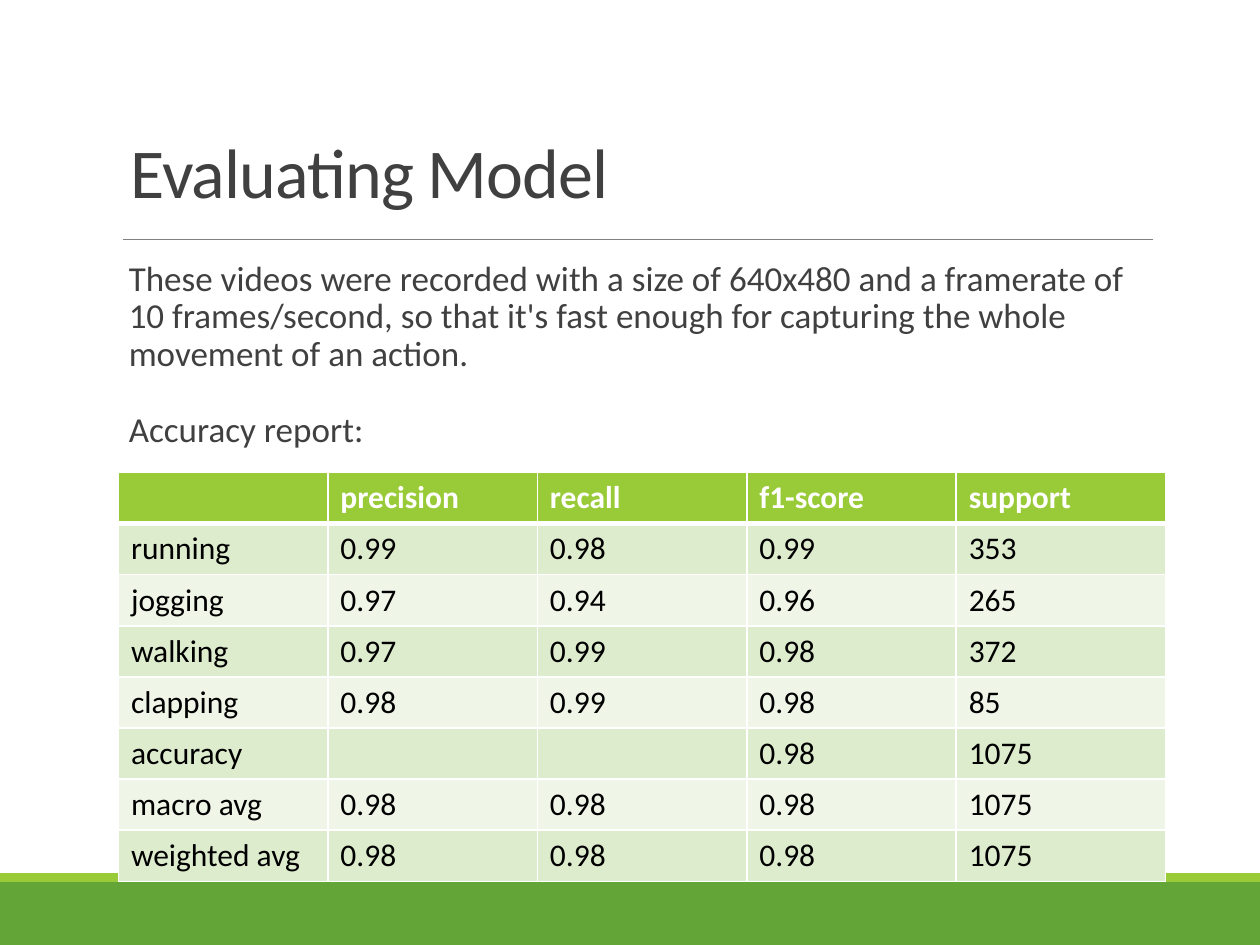
from lxml import etree
from pptx import Presentation
from pptx.dml.color import RGBColor
from pptx.enum.shapes import MSO_CONNECTOR, MSO_SHAPE
from pptx.enum.text import MSO_ANCHOR, MSO_AUTO_SIZE, PP_ALIGN
from pptx.oxml.ns import qn
from pptx.util import Pt

RECTANGLE = MSO_SHAPE.RECTANGLE
STRAIGHT = MSO_CONNECTOR.STRAIGHT
BOTTOM, TOP = MSO_ANCHOR.BOTTOM, MSO_ANCHOR.TOP
LEFT = PP_ALIGN.LEFT
NO_AUTOFIT = MSO_AUTO_SIZE.NONE

DARK_GREEN, LIGHT_GREEN = "63A537", "99CB38"
BANDS = ["EFF6E8", "DEECCE"]
TEXT_GRAY, RULE_GRAY, WHITE, BLACK = "404040", "808080", "FFFFFF", "000000"


def color(hex_string):
    return RGBColor.from_string(hex_string)


def format_text(paragraph, hex_string, font_values, paragraph_values):
    for name, value in paragraph_values.items():
        setattr(paragraph, name, value)
    for name, value in font_values.items():
        setattr(paragraph.font, name, value)
    paragraph.font.color.rgb = color(hex_string)


presentation = Presentation()
presentation.slide_width, presentation.slide_height = Pt(720), Pt(540)
slide = presentation.slides.add_slide(presentation.slide_layouts[5])

# Footer bands
for top, height, fill in [(504, 36, DARK_GREEN), (499, 5, LIGHT_GREEN)]:
    band = slide.shapes.add_shape(RECTANGLE, 0, Pt(top), Pt(720), Pt(height))
    band.shadow.inherit = False
    band.fill.solid()
    band.fill.fore_color.rgb = color(fill)
    band.line.fill.background()

# Rule under the title
rule = slide.shapes.add_connector(STRAIGHT, Pt(70.5), Pt(136.8), Pt(658.8), Pt(136.8))
rule.line.color.rgb = color(RULE_GRAY)
rule.line.width = Pt(0.5)
etree.SubElement(rule.element.spPr, qn("a:effectLst"))

# Title
title = slide.shapes.title
title.left, title.top, title.width, title.height = Pt(67.5), Pt(61), Pt(594), Pt(64)
title_frame = title.text_frame
title_frame.text = "Evaluating Model"
for name, value in {"auto_size": NO_AUTOFIT, "vertical_anchor": BOTTOM, "word_wrap": True}.items():
    setattr(title_frame, name, value)
title_paragraph = title_frame.paragraphs[0]
format_text(title_paragraph, TEXT_GRAY, {"name": "Calibri", "size": Pt(40)},
            {"alignment": LEFT, "line_spacing": 0.85})
title_paragraph.runs[0].font.size = Pt(40)
title_paragraph.runs[0].font._element.set("spc", "-50")

# Body text
body = slide.shapes.add_textbox(Pt(65), Pt(145.5), Pt(594), Pt(120))
body_frame = body.text_frame
for name, value in {"word_wrap": True, "vertical_anchor": TOP,
                    "margin_left": Pt(8.6), "margin_right": 0}.items():
    setattr(body_frame, name, value)
body_frame.text = (
    "These videos were recorded with a size of 640x480 and a framerate of "
    "10 frames/second, so that it's fast enough for capturing the whole "
    "movement of an action.\nAccuracy report:"
)
for paragraph, space_before in zip(body_frame.paragraphs, [0, 22]):
    format_text(paragraph, TEXT_GRAY, {"name": "Calibri", "size": Pt(20)},
                {"line_spacing": 0.9, "space_before": Pt(space_before), "space_after": Pt(0)})

# Accuracy table
rows = [
    ["", "precision", "recall", "f1-score", "support"],
    ["running", "0.99", "0.98", "0.99", "353"],
    ["jogging", "0.97", "0.94", "0.96", "265"],
    ["walking", "0.97", "0.99", "0.98", "372"],
    ["clapping", "0.98", "0.99", "0.98", "85"],
    ["accuracy", "", "", "0.98", "1075"],
    ["macro avg", "0.98", "0.98", "0.98", "1075"],
    ["weighted avg", "0.98", "0.98", "0.98", "1075"],
]
column_width, row_height = 119.7, 29.2
table = slide.shapes.add_table(
    len(rows), len(rows[0]), Pt(67.7), Pt(270),
    Pt(column_width * len(rows[0])), Pt(row_height * len(rows))).table

for row_index, row in enumerate(rows):
    is_header = row_index == 0
    for column_index, text in enumerate(row):
        cell = table.cell(row_index, column_index)
        cell.text = text
        format_text(cell.text_frame.paragraphs[0], WHITE if is_header else BLACK,
                    {"name": "Calibri", "size": Pt(18), "bold": is_header}, {"alignment": LEFT})

        # White borders go before the fill, heavier around the header's lower edge
        properties = cell._tc.get_or_add_tcPr()
        heavy_edge = {0: "lnB", 1: "lnT"}.get(row_index)
        for edge in ["lnL", "lnR", "lnT", "lnB"]:
            width = Pt(3 if edge == heavy_edge else 1)
            border = etree.SubElement(properties, qn(f"a:{edge}"), w=str(width))
            border_fill = etree.SubElement(border, qn("a:solidFill"))
            etree.SubElement(border_fill, qn("a:srgbClr"), val=WHITE)
        cell.fill.solid()
        cell.fill.fore_color.rgb = color(LIGHT_GREEN if is_header else BANDS[row_index % 2])

presentation.save("out.pptx")
